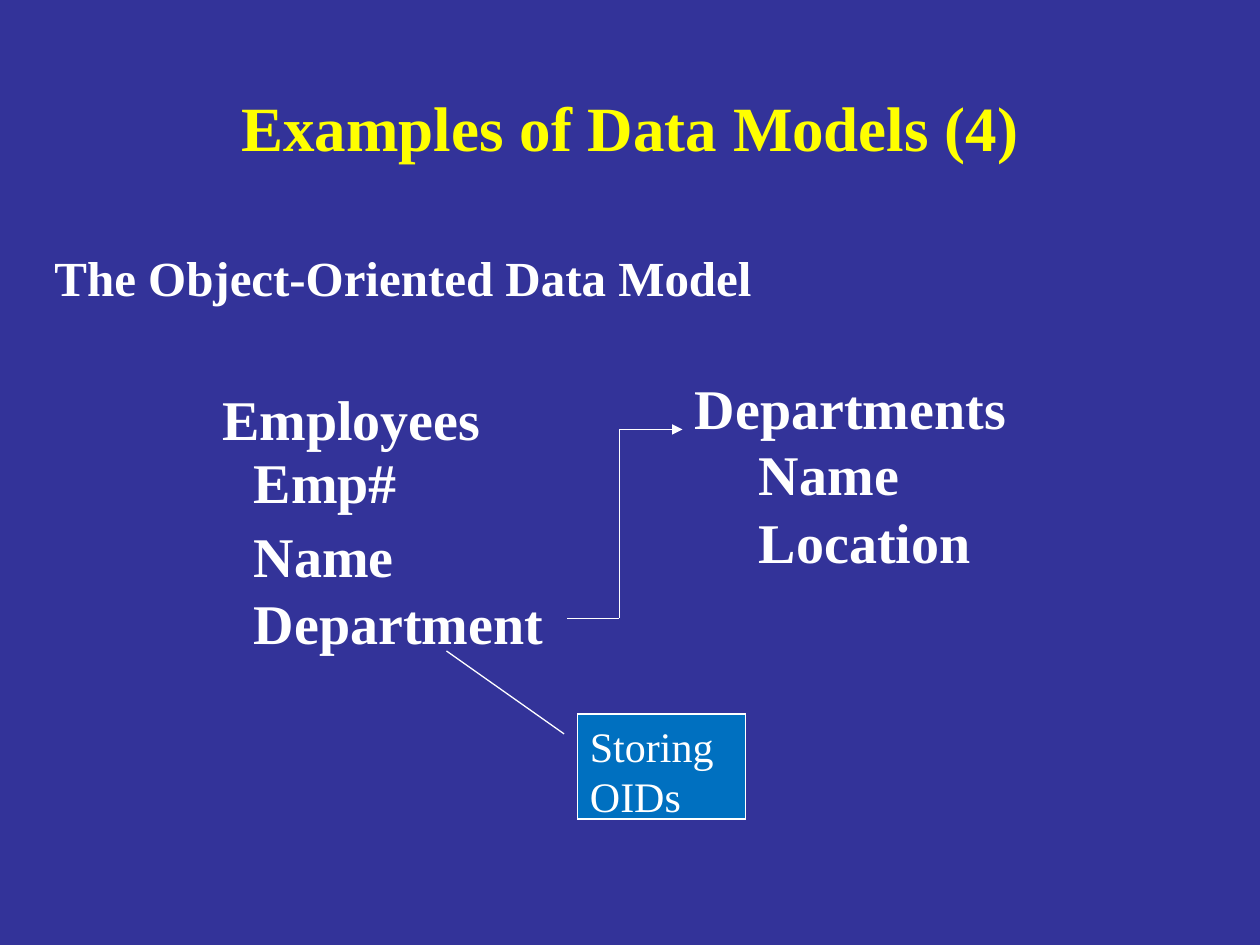
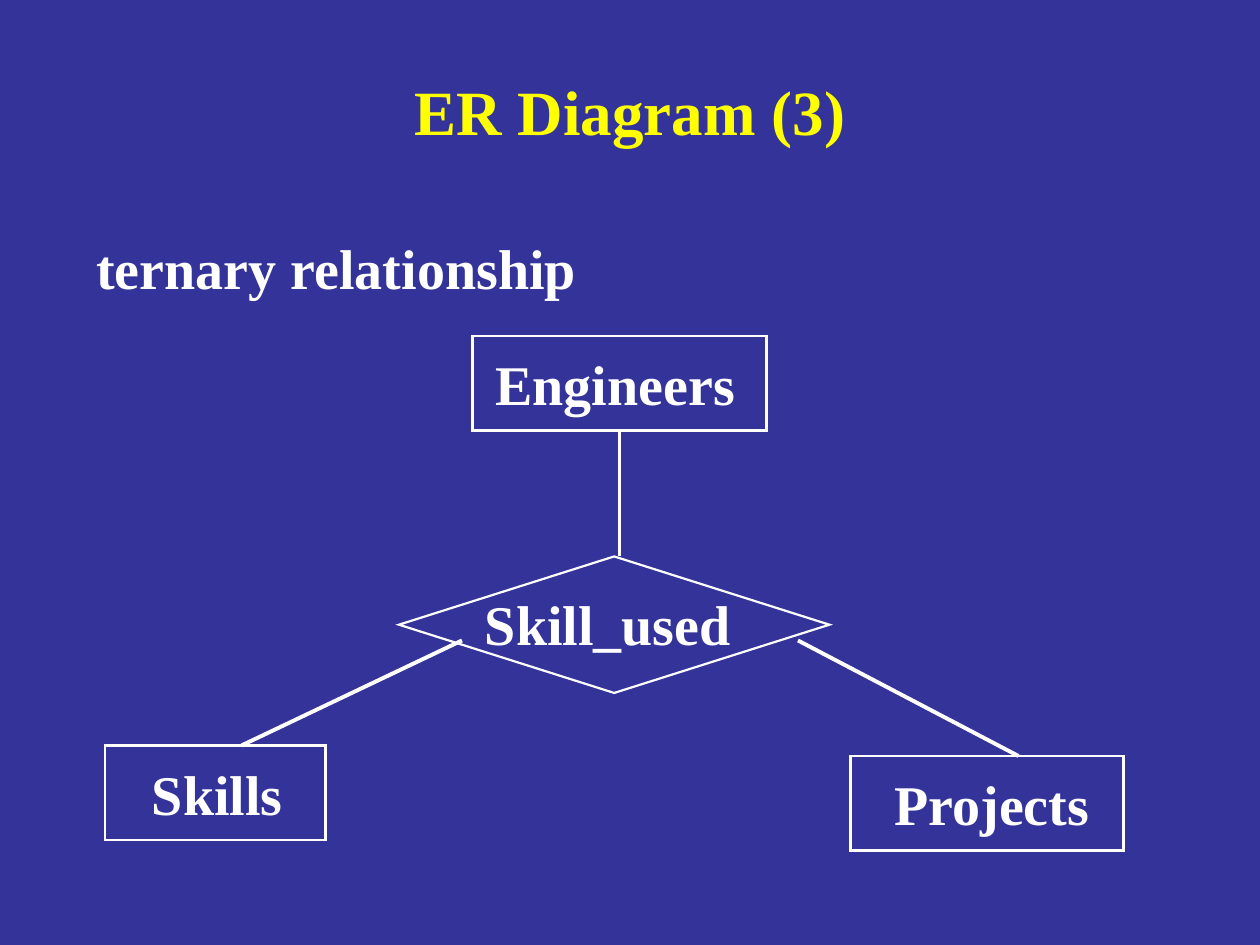
from lxml import etree
from pptx import Presentation
from pptx.dml.color import RGBColor
from pptx.enum.shapes import MSO_CONNECTOR, MSO_SHAPE
from pptx.enum.text import MSO_ANCHOR, MSO_AUTO_SIZE, PP_ALIGN
from pptx.oxml.ns import qn
from pptx.util import Inches, Pt

COLOURS = {
    "background": "333399",
    "title": "FFFF00",
    "text": "FFFFFF",
    "line": "FFFFFF",
    "callout": "0070C0",
}
FONT = "Times New Roman"
COLUMNS, ROWS = 120, 90  # grid of twelve cells to the inch
LABEL_HEIGHT = 7.7


def colour(name):
    return RGBColor.from_string(COLOURS[name])


def grid(*cells):
    """Turn grid cells into lengths."""
    return [Inches(cell / 12) for cell in cells]


def format_text(text_frame, size, colour_name="text", bold=True, align=PP_ALIGN.LEFT):
    for paragraph in text_frame.paragraphs:
        paragraph.alignment = align
        for run in paragraph.runs:
            run.font.name = FONT
            run.font.size = Pt(size)
            run.font.bold = bold
            run.font.color.rgb = colour(colour_name)


def add_text(slide, text, left, top, width, height, size=32, **style):
    text_frame = slide.shapes.add_textbox(*grid(left, top, width, height)).text_frame
    text_frame.text = text
    text_frame.word_wrap = True
    format_text(text_frame, size, **style)
    return text_frame


def add_title(slide, text, height):
    text_frame = add_text(slide, text, 9, 5, 102, height, size=36,
                          colour_name="title", align=PP_ALIGN.CENTER)
    text_frame.vertical_anchor = MSO_ANCHOR.MIDDLE


def add_label(slide, text, left, top, width, height=LABEL_HEIGHT):
    text_frame = add_text(slide, text, left, top, width, height)
    text_frame.auto_size = MSO_AUTO_SIZE.SHAPE_TO_FIT_TEXT
    return text_frame


def add_outline(slide, kind, left, top, width, height, weight=1.25):
    shape = slide.shapes.add_shape(kind, *grid(left, top, width, height))
    shape.shadow.inherit = False
    shape.fill.background()
    shape.line.color.rgb = colour("line")
    shape.line.width = Pt(weight)
    etree.SubElement(shape.line._get_or_add_ln(), qn("a:miter"), lim="800000")
    return shape


def add_entity(slide, name, box, label):
    """A boxed entity; label is the left, top and width of its name."""
    add_label(slide, name, *label)
    add_outline(slide, MSO_SHAPE.RECTANGLE, *box)


def add_line(slide, start, end, weight, arrow=False):
    connector = slide.shapes.add_connector(MSO_CONNECTOR.STRAIGHT, *grid(*start, *end))
    connector.line.color.rgb = colour("line")
    connector.line.width = Pt(weight)
    if arrow:
        etree.SubElement(connector.line._get_or_add_ln(), qn("a:tailEnd"), type="triangle")
    etree.SubElement(connector._element.spPr, qn("a:effectLst"))


def add_callout(slide, text, box, adjustments):
    shape = add_outline(slide, MSO_SHAPE.LINE_CALLOUT_1, *box, weight=0.75)
    for index, value in enumerate(adjustments):
        shape.adjustments[index] = value
    shape.fill.solid()
    shape.fill.fore_color.rgb = colour("callout")
    text_frame = shape.text_frame
    text_frame.text = text
    text_frame.word_wrap = True
    text_frame.vertical_anchor = MSO_ANCHOR.TOP
    format_text(text_frame, 24, bold=False)


def build_object_model(slide):
    add_title(slide, "Examples of Data Models (4)", 14)
    add_text(slide, "The Object-Oriented Data Model", 4, 23, 112, 63, size=28)

    # Classes and their attributes
    add_label(slide, "Employees", 20, 36, 28)
    add_label(slide, "Departments", 65, 35, 34)
    employee = add_label(slide, "Emp#\nName\nDepartment", 23, 42, 31, 21.1)
    employee.paragraphs[1].line_spacing = 1.1
    add_label(slide, "Name\nLocation", 71.1, 41.3, 24, 14)

    # Reference from the attribute to the class
    route = [(54, 58.9), (59, 58.9), (59, 40.9), (65, 40.9)]
    for start, end in zip(route, route[1:]):
        add_line(slide, start, end, 0.75, arrow=end == route[-1])
    add_callout(slide, "Storing OIDs", (55, 68, 16, 10), (0.19, -0.08, -0.6, -0.78))


def build_er_diagram(slide):
    add_title(slide, "ER Diagram (3)", 11)
    add_label(slide, "ternary relationship", 8, 21.7, 49)

    # Relationship
    add_label(slide, "Skill_used", 45, 55.6, 27)
    add_outline(slide, MSO_SHAPE.DIAMOND, 38, 53, 41, 13)

    # Entities
    add_entity(slide, "Engineers", (45, 32, 28, 9), (46, 32.7, 26))
    add_entity(slide, "Skills", (10, 71, 21, 9), (13.3, 71.7, 17))
    add_entity(slide, "Projects", (81, 72, 26, 9), (84, 72.7, 22))

    # Links
    for start, end in [((59, 53), (59, 41)), ((23, 71), (44, 61)), ((76, 61), (97, 72))]:
        add_line(slide, start, end, 2.25)


def main():
    presentation = Presentation()
    presentation.slide_width, presentation.slide_height = grid(COLUMNS, ROWS)
    background = presentation.slide_master.background.fill
    background.solid()
    background.fore_color.rgb = colour("background")
    blank = presentation.slide_layouts[6]
    for build in (build_object_model, build_er_diagram):
        build(presentation.slides.add_slide(blank))
    presentation.save("out.pptx")


if __name__ == "__main__":
    main()
